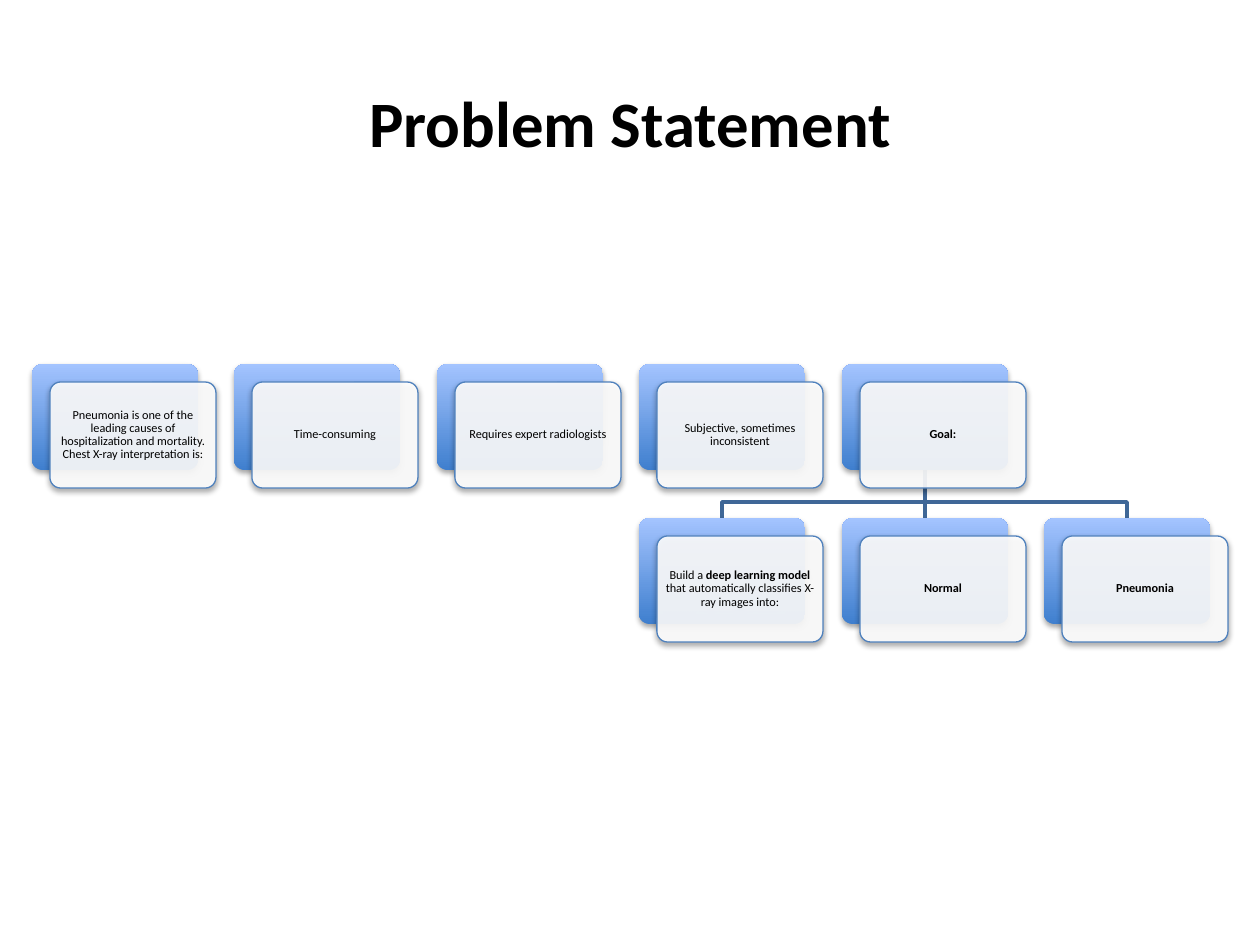
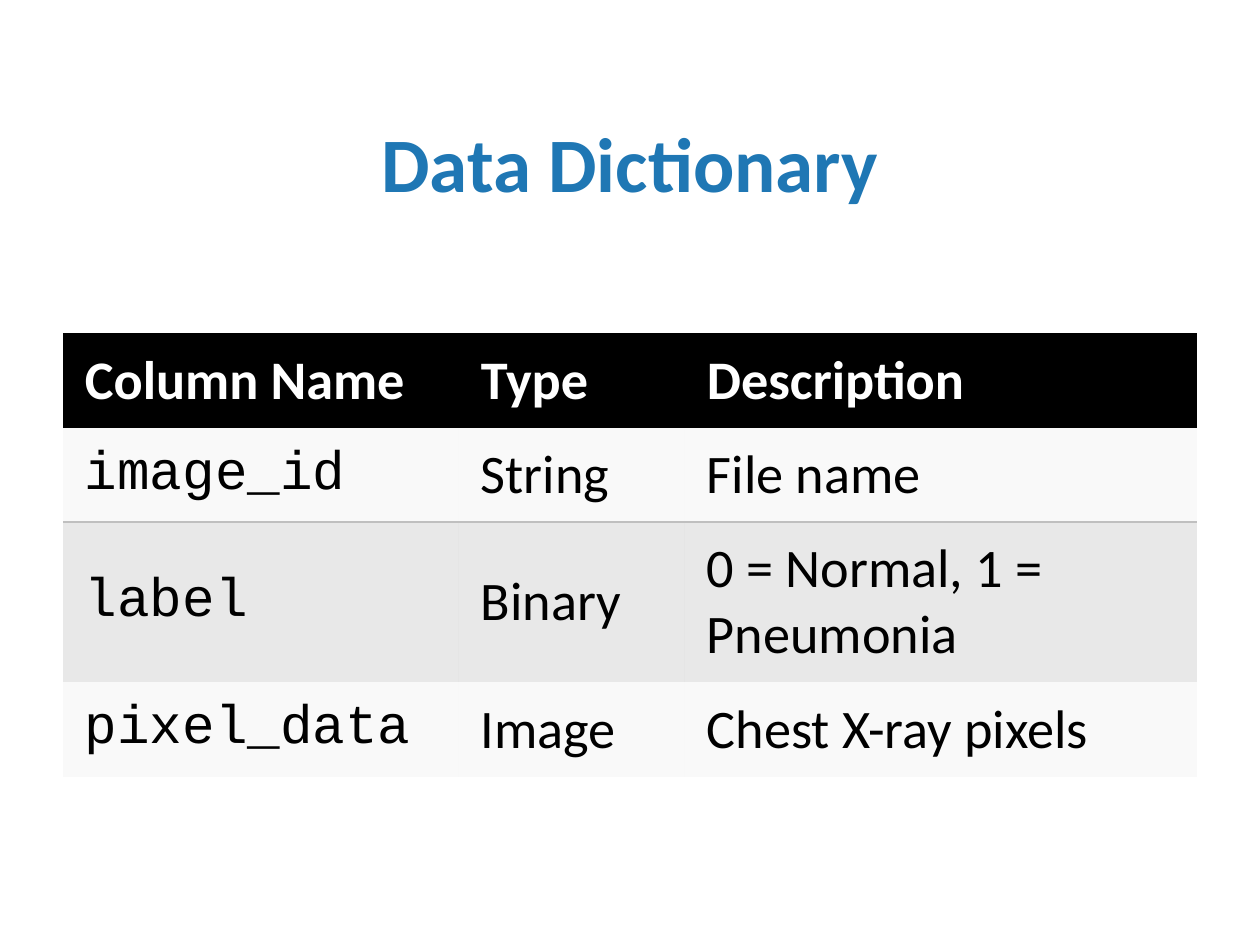
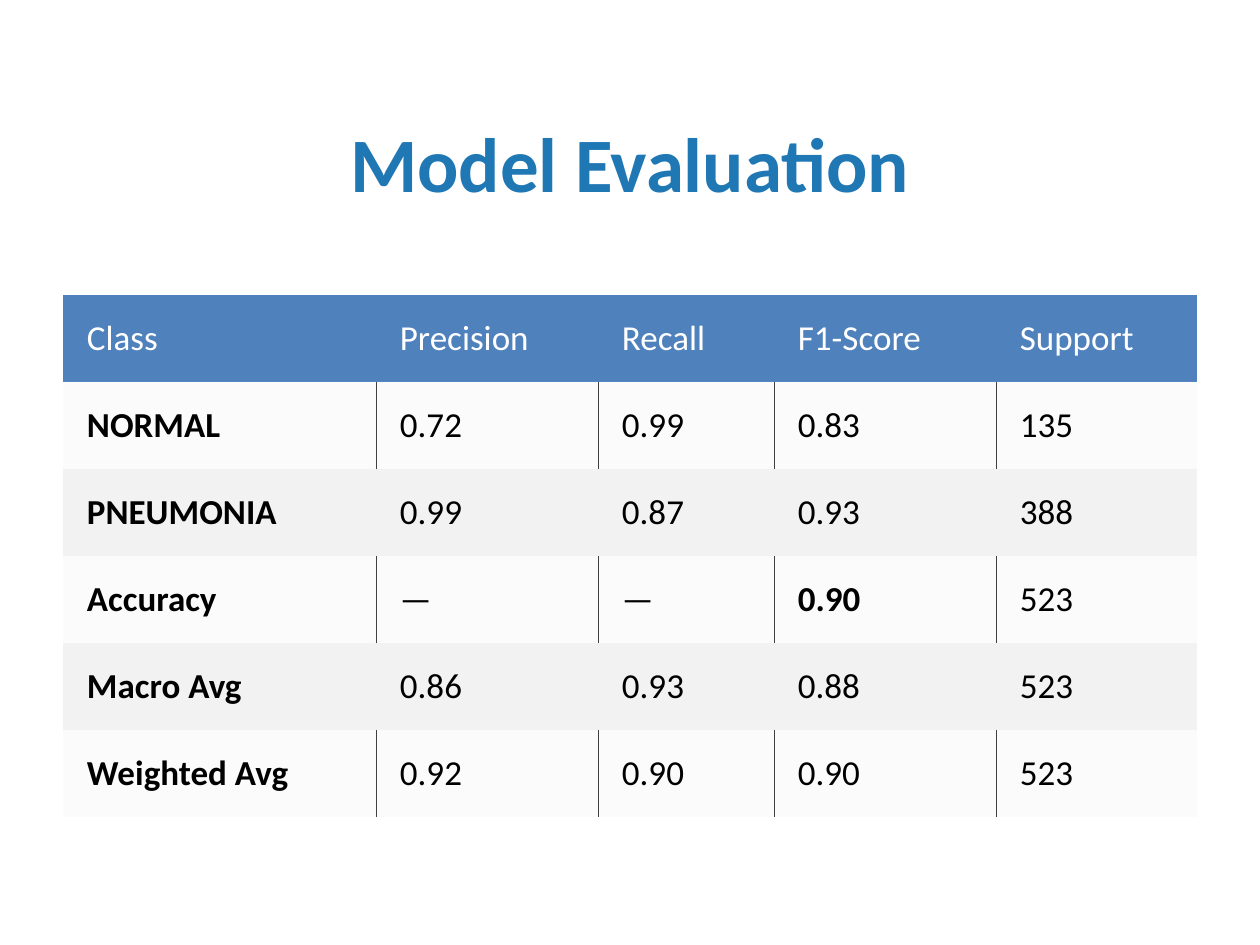
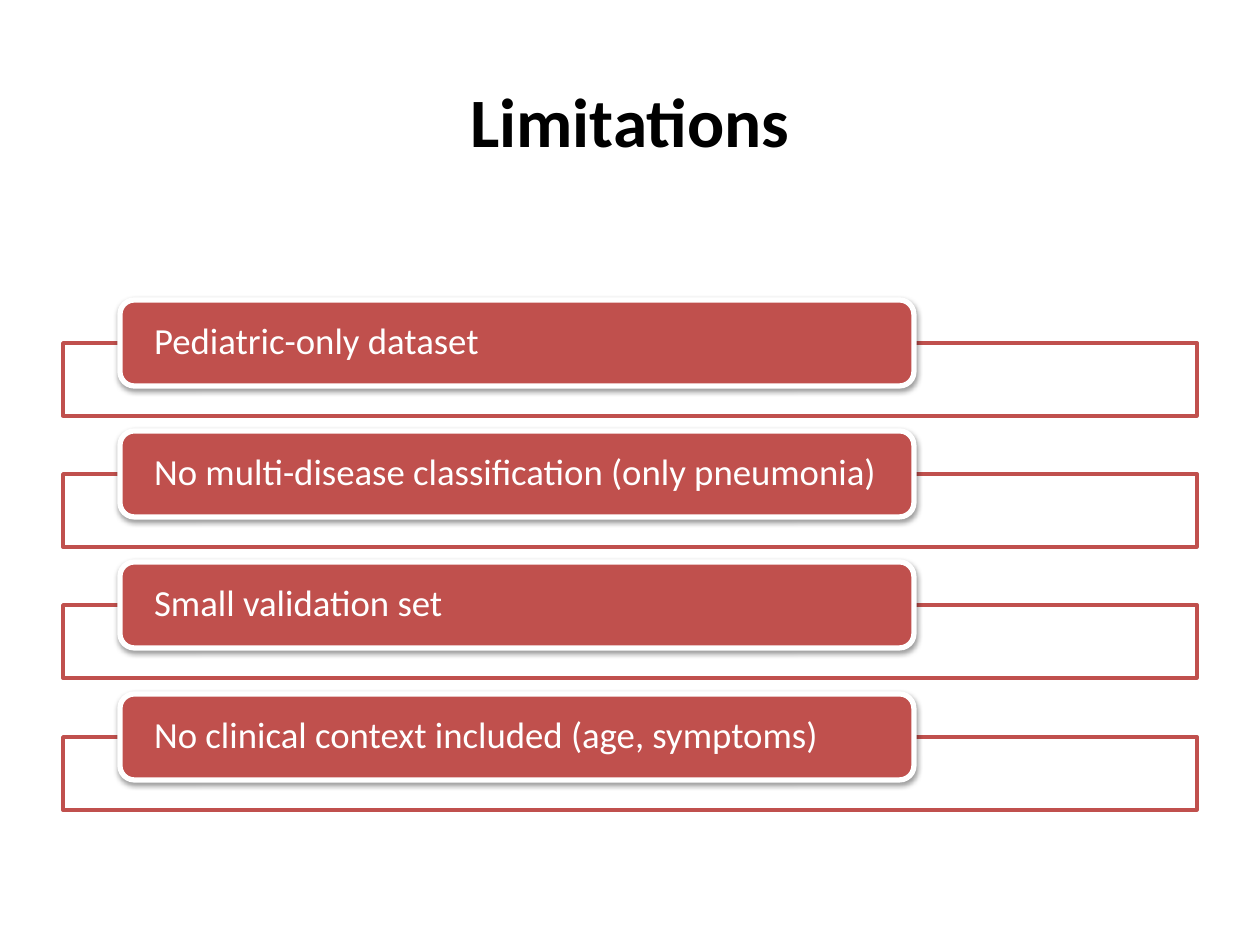
from dataclasses import dataclass

from lxml.etree import SubElement
from pptx import Presentation
from pptx.dml.color import RGBColor
from pptx.enum.shapes import MSO_CONNECTOR, MSO_SHAPE
from pptx.enum.text import MSO_ANCHOR, PP_ALIGN
from pptx.oxml import parse_xml
from pptx.oxml.ns import nsdecls, qn
from pptx.util import Pt

SCALE = 914400 / 126
BLACK, WHITE = "000000", "FFFFFF"
TITLE_BLUE, BLUE, CONNECTOR_BLUE = "1F77B4", "4F81BD", "3F6797"
GRADIENT = ("3F7FCE", "A4C4FF")
RED, PALE, SILVER, CHARCOAL = "C0504D", "F2F2F2", "BFBFBF", "404040"
FONT, CODE_FONT = "Calibri", "Courier New"


@dataclass
class Box:
    """A rectangle in px."""
    left: int
    top: int
    width: int
    height: int

    def emu(self):
        """Return the four lengths in EMU."""
        return [px(n) for n in (self.left, self.top, self.width, self.height)]


TITLE_BOX = Box(63, 83, 1134, 158)


def px(length):
    """Turn px into EMU."""
    return round(length * SCALE)


def rgb(color):
    """Turn a hex string into a colour."""
    return RGBColor.from_string(color)


def set_format(target, values):
    """Set each attribute named in a dict."""
    for name, value in values.items():
        setattr(target, name, value)


def paint(fill, color, alpha=100):
    """Fill with one colour, see-through when alpha is below 100."""
    fill.solid()
    fill.fore_color.rgb = rgb(color)
    if alpha < 100:
        srgb = fill._xPr.find(qn("a:solidFill"))[0]
        SubElement(srgb, qn("a:alpha"), val=str(alpha * 1000))


def draw_line(shape, color, points):
    """Give a shape its outline or a connector its line."""
    paint(shape.line.fill, color)
    shape.line.width = Pt(points)


def cast_shadow(shape, alpha, distance):
    """Drop a soft black shadow straight down."""
    shape.shadow.inherit = False
    effects = shape.element.spPr.find(qn("a:effectLst"))
    shadow = SubElement(effects, qn("a:outerShdw"), blurRad="40000", dist=str(distance),
                        dir="5400000", rotWithShape="0")
    color = SubElement(shadow, qn("a:srgbClr"), val=BLACK)
    SubElement(color, qn("a:alpha"), val=str(alpha * 1000))


def write(frame, spans, size, color, margins, align=PP_ALIGN.LEFT, spacing=1.0, font=FONT):
    """Write (text, bold) spans as one paragraph, with margins left, top, right, bottom."""
    sides = ("margin_left", "margin_top", "margin_right", "margin_bottom")
    set_format(frame, dict(zip(sides, map(px, margins))))
    set_format(frame, {"word_wrap": True, "vertical_anchor": MSO_ANCHOR.MIDDLE})
    para = frame.paragraphs[0]
    set_format(para, {"alignment": align, "line_spacing": spacing})
    for text, bold in spans:
        for number, line in enumerate(text.split("\n")):
            if number:
                para.add_line_break()
            span = para.add_run()
            span.text = line
            set_format(span.font, {"name": font, "size": Pt(size), "bold": bold})
            span.font.color.rgb = rgb(color)


def add_title(page, text, size, color, spacing=1.0, lift=0):
    """Place the centred title, lifted by a deeper bottom margin."""
    title = page.shapes.add_textbox(*TITLE_BOX.emu())
    write(title.text_frame, [(text, True)], size, color, (13, 6, 13, 6 + lift),
          PP_ALIGN.CENTER, spacing)


def add_card(page, box, spans):
    """Draw a gradient card with a captioned sheet in front; return the back card."""
    back = page.shapes.add_shape(MSO_SHAPE.ROUNDED_RECTANGLE, *box.emu())
    back.fill.gradient()
    back.fill.gradient_angle = 90
    for stop, color in zip(back.fill.gradient_stops, GRADIENT):
        stop.color.rgb = rgb(color)
    back.line.fill.background()
    sheet_box = Box(box.left + 18, box.top + 18, box.width, box.height)
    sheet = page.shapes.add_shape(MSO_SHAPE.ROUNDED_RECTANGLE, *sheet_box.emu())
    paint(sheet.fill, WHITE, 90)
    draw_line(sheet, BLUE, 0.75)
    for shape in (back, sheet):
        shape.adjustments[0] = 0.1
        cast_shadow(shape, 35, 23000)
    write(sheet.text_frame, spans, 7, BLACK, (4, 4, 4, 4), PP_ALIGN.CENTER, 0.9)
    return back


def add_branch(page, start, end, bend):
    """Draw a bent line from a parent down to a child."""
    builder = page.shapes.build_freeform(*start, scale=SCALE)
    builder.add_line_segments([(start[0], bend), (end[0], bend), end], close=False)
    branch = builder.convert_to_shape()
    branch.fill.background()
    branch.shadow.inherit = False
    draw_line(branch, CONNECTOR_BLUE, 2)


def add_stem(page, parent, child):
    """Join two cards by a straight line behind everything else."""
    stem = page.shapes.add_connector(MSO_CONNECTOR.STRAIGHT, 0, 0, 0, 0)
    stem.begin_connect(parent, 2)
    stem.end_connect(child, 0)
    draw_line(stem, CONNECTOR_BLUE, 2)
    SubElement(stem.element.spPr, qn("a:effectLst"))
    page.shapes.element.insert(2, stem.element)


def add_hierarchy(page, box):
    """Place the row of cards and the children below the goal."""
    def card_box(row, column):
        """Find a card on the grid."""
        return Box(box.left + 405 * column // 2, box.top + 154 * row, 166, 106)

    def middle(row, column):
        """Find the horizontal middle of a card."""
        return card_box(row, column).left + 83

    goal = 4
    start = (middle(0, goal), box.top + 106)
    for column in (goal + 1, goal - 1):
        add_branch(page, start, (middle(1, column), box.top + 154), box.top + 138)
    rows = [
        (0, [
            [("Pneumonia is one of the leading causes of hospitalization and mortality.\n"
              "Chest X-ray interpretation is:", False)],
            [("Time-consuming", False)],
            [("Requires expert radiologists", False)],
            [("Subjective, sometimes inconsistent", False)],
            [("Goal:", True)],
        ]),
        (goal - 1, [
            [("Build a ", False), ("deep learning model", True),
             (" that automatically classifies X-ray images into:", False)],
            [("Normal", True)],
            [("Pneumonia", True)],
        ]),
    ]
    cards = {}
    for row, (first, captions) in enumerate(rows):
        for column, spans in enumerate(captions, first):
            cards[row, column] = add_card(page, card_box(row, column), spans)
    add_stem(page, cards[0, goal], cards[1, goal])


def set_borders(cell, borders):
    """Draw the borders named by side and hide the others."""
    for index, side in enumerate("LRTB"):
        color, points = borders.get(side, (None, 0))
        fill = f'<a:solidFill><a:srgbClr val="{color}"/></a:solidFill>' if color else "<a:noFill/>"
        cell._tc.get_or_add_tcPr().insert(index, parse_xml(
            f'<a:ln{side} {nsdecls("a")} w="{Pt(points)}">{fill}</a:ln{side}>'))


def add_grid(page, box, widths, heights, rows, style):
    """Place a table; style(row, column) gives fill, borders and text values."""
    frame = page.shapes.add_table(len(rows), len(widths), *box.emu())
    table = frame.table
    set_format(table, {"first_row": False, "horz_banding": False})
    for column, width in zip(table.columns, widths):
        column.width = px(width)
    for row, height in zip(table.rows, heights):
        row.height = px(height)
    for r, texts in enumerate(rows):
        for c, text in enumerate(texts):
            cell = table.cell(r, c)
            fill, borders, bold, look = style(r, c)
            paint(cell.fill, *fill)
            set_borders(cell, borders)
            write(cell.text_frame, [(text, bold)], **look)
            cell.vertical_anchor = MSO_ANCHOR.MIDDLE
            for side in ("left", "top", "right", "bottom"):
                setattr(cell, f"margin_{side}", getattr(cell.text_frame, f"margin_{side}"))


def dictionary_style(row, column):
    """Style a cell of the data dictionary."""
    fill = [(BLACK,), (PALE, 45), (SILVER, 35), (PALE, 45)][row]
    borders = {1: {"B": (SILVER, 1)}, 2: {"T": (SILVER, 1)}}.get(row, {})
    look = {"size": 31, "color": BLACK if row else WHITE, "margins": (22, 11, 22, 11),
            "font": CODE_FONT if row and column == 0 else FONT}
    return fill, borders, row == 0, look


def evaluation_style(row, column):
    """Style a cell of the evaluation table."""
    fill, borders = (PALE,), {}
    if row == 0:
        fill = (BLUE,)
    elif row % 2:
        fill = (PALE, 30)
        borders = {side: (CHARCOAL, 0.5)
                   for side, shown in (("L", column > 0), ("R", column < 4)) if shown}
    bold = row > 0 and column == 0 or (row, column) == (3, 3)
    look = {"size": 20, "color": BLACK if row else WHITE, "margins": (24, 19, 29, 19)}
    return fill, borders, bold, look


def add_limitation(page, box, text):
    """Draw an outlined bar with a red label over its top edge."""
    bar = page.shapes.add_shape(MSO_SHAPE.RECTANGLE, *box.emu())
    paint(bar.fill, WHITE, 90)
    draw_line(bar, RED, 2)
    bar.shadow.inherit = False
    label_box = Box(box.left + 57, box.top - 43, 794, 86)
    label = page.shapes.add_shape(MSO_SHAPE.ROUNDED_RECTANGLE, *label_box.emu())
    paint(label.fill, RED)
    draw_line(label, WHITE, 3)
    cast_shadow(label, 38, 20000)
    write(label.text_frame, [(text, False)], 21, WHITE, (30, 0, 30, 0), spacing=0.9)


def problem_page(page):
    """Build the problem statement."""
    add_title(page, "Problem Statement", 37, BLACK, 0.9, 71)
    add_hierarchy(page, Box(32, 364, 1196, 278))


def dictionary_page(page):
    """Build the data dictionary."""
    add_title(page, "Data Dictionary", 44, TITLE_BLUE)
    rows = [
        ("Column Name", "Type", "Description"),
        ("image_id", "String", "File name"),
        ("label", "Binary", "0 = Normal, 1 = Pneumonia"),
        ("pixel_data", "Image", "Chest X-ray pixels"),
    ]
    add_grid(page, Box(63, 333, 1134, 444), (396, 226, 512), (95, 94, 160, 95),
             rows, dictionary_style)


def evaluation_page(page):
    """Build the model evaluation."""
    add_title(page, "Model Evaluation", 44, TITLE_BLUE)
    rows = [
        ("Class", "Precision", "Recall", "F1-Score", "Support"),
        ("NORMAL", "0.72", "0.99", "0.83", "135"),
        ("PNEUMONIA", "0.99", "0.87", "0.93", "388"),
        ("Accuracy", "—", "—", "0.90", "523"),
        ("Macro Avg", "0.86", "0.93", "0.88", "523"),
        ("Weighted Avg", "0.92", "0.90", "0.90", "523"),
    ]
    add_grid(page, Box(63, 295, 1134, 522), (313, 222, 176, 222, 201), [87] * len(rows),
             rows, evaluation_style)


def limitations_page(page):
    """Build the limitations."""
    add_title(page, "Limitations", 39.6, BLACK, lift=85)
    limitations = (
        "Pediatric-only dataset",
        "No multi-disease classification (only pneumonia)",
        "Small validation set",
        "No clinical context included (age, symptoms)",
    )
    for index, text in enumerate(limitations):
        add_limitation(page, Box(63, 343 + 394 * index // 3, 1134, 73), text)


def main():
    """Build and save the deck."""
    deck = Presentation()
    set_format(deck, {"slide_width": px(1260), "slide_height": px(945)})
    for build in (problem_page, dictionary_page, evaluation_page, limitations_page):
        build(deck.slides.add_slide(deck.slide_layouts[6]))
    deck.save("out.pptx")


if __name__ == "__main__":
    main()
